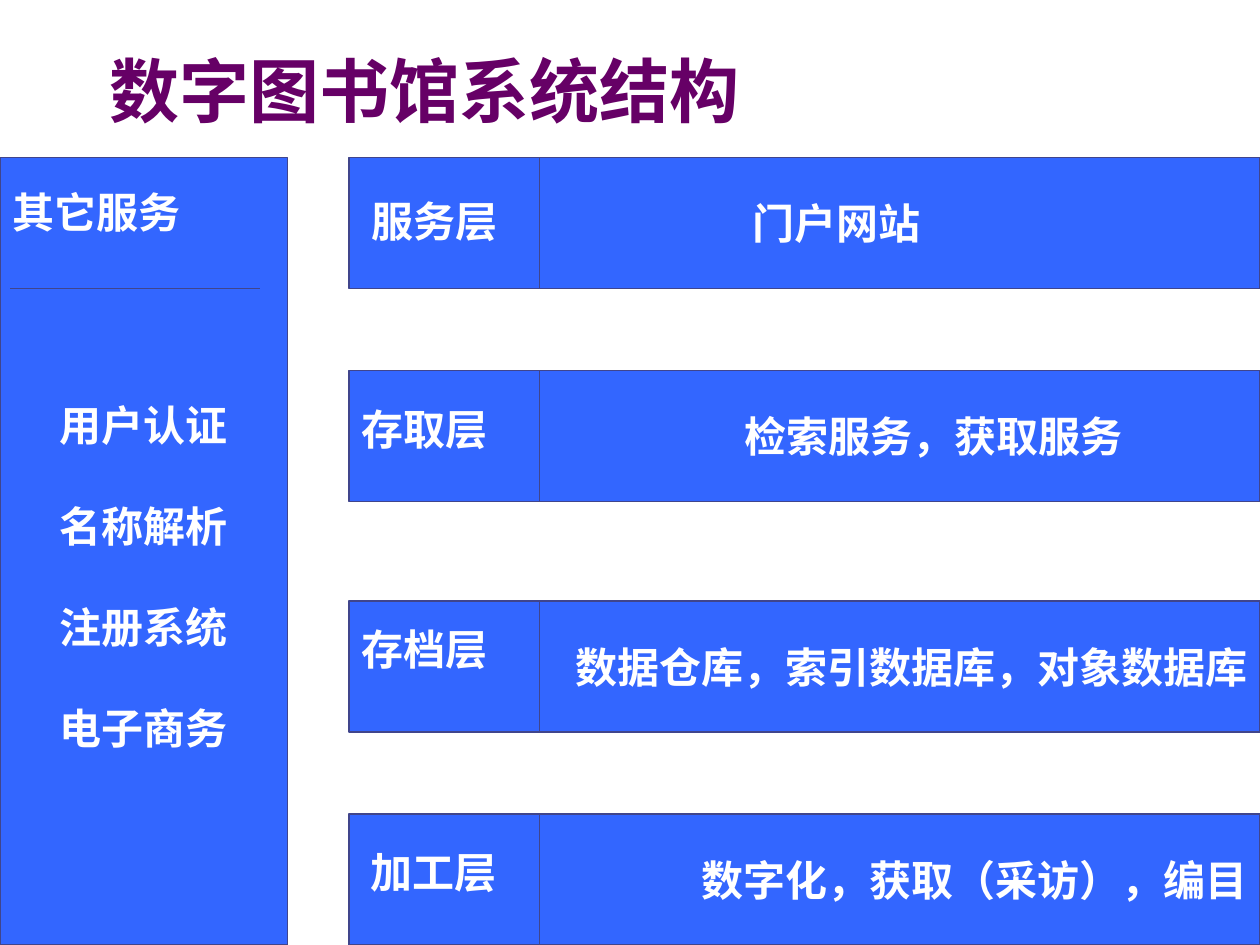
import pptx
import pptx.dml.color
import pptx.enum.shapes
import pptx.enum.text
import pptx.oxml
import pptx.util

COLUMNS, ROWS = 100, 75
WIDTH, HEIGHT = pptx.util.Inches(10), pptx.util.Inches(7.5)
BLUE, EDGE, WHITE, PURPLE = "3366FF", "40458C", "FFFFFF", "660066"
ALIGN = pptx.enum.text.PP_ALIGN
ANCHOR = pptx.enum.text.MSO_ANCHOR

SERVICES = ["用户认证", "名称解析", "注册系统", "电子商务"]
LAYERS = [
    dict(row=12.5, label="服务层", shift=(0.8, 2.5), content="门户网站",
         align=ALIGN.CENTER, left=6.1),
    dict(row=29.4, label="存取层", shift=(0, 2.1), content="检索服务，获取服务",
         align=ALIGN.RIGHT, right=10.9),
    dict(row=47.7, label="存档层", shift=(0, 1.3), content="数据仓库，索引数据库，对象数据库",
         align=ALIGN.RIGHT),
    dict(row=64.6, label="加工层", shift=(0.7, 2.1), content="数字化，获取（采访），编目",
         align=ALIGN.RIGHT),
]


def across(columns):
    """Turn grid columns into a length."""
    return int(WIDTH * columns / COLUMNS)


def down(rows):
    """Turn grid rows into a length."""
    return int(HEIGHT * rows / ROWS)


def place(box):
    """Turn a grid box into left, top, width and height."""
    left, top, width, height = box
    return across(left), down(top), across(width), down(height)


def color(value):
    """Turn a hex string into a colour."""
    return pptx.dml.color.RGBColor.from_string(value)


def write(shape, text, size=24, font="Times New Roman", fill=WHITE, align=ALIGN.LEFT,
          anchor=ANCHOR.TOP, wrap=True, left=1, right=1, top=0.5, gap=0, spacing=None):
    """Write one paragraph for each line of text, with its format."""
    frame = shape.text_frame
    frame.word_wrap = wrap
    frame.vertical_anchor = anchor
    frame.margin_left, frame.margin_right = across(left), across(right)
    frame.margin_top, frame.margin_bottom = down(top), down(0.5)
    frame.text = text
    for index, paragraph in enumerate(frame.paragraphs):
        paragraph.alignment = align
        paragraph.space_before = pptx.util.Pt(gap if index else 0)
        paragraph.line_spacing = spacing
        for run in paragraph.runs:
            run.font.size = pptx.util.Pt(size)
            run.font.name = font
            run.font.bold = True
            run.font.color.rgb = color(fill)


def add_panel(slide, box):
    """Add a blue rectangle with a thin edge."""
    shape = slide.shapes.add_shape(pptx.enum.shapes.MSO_SHAPE.RECTANGLE, *place(box))
    shape.shadow.inherit = False
    shape.fill.solid()
    shape.fill.fore_color.rgb = color(BLUE)
    shape.line.color.rgb = color(EDGE)
    shape.line.width = pptx.util.Pt(0.75)
    return shape


def add_rule(slide, start, end):
    """Add a thin straight line between two grid points."""
    line = slide.shapes.add_connector(
        pptx.enum.shapes.MSO_CONNECTOR.STRAIGHT,
        across(start[0]), down(start[1]), across(end[0]), down(end[1]))
    line.line.color.rgb = color(EDGE)
    line.line.width = pptx.util.Pt(0.75)
    line._element.spPr.append(pptx.oxml.parse_xml(
        '<a:effectLst xmlns:a="http://schemas.openxmlformats.org/drawingml/2006/main"/>'))


def add_label(slide, box, text, wrap):
    """Add a text box in a grid box."""
    write(slide.shapes.add_textbox(*place(box)), text, wrap=wrap)


def add_title(slide, box, text):
    """Move the title placeholder to its box and fill it."""
    title = slide.shapes.title
    title.left, title.top, title.width, title.height = place(box)
    write(title, text, size=40, font="Roboto", fill=PURPLE, anchor=ANCHOR.BOTTOM, spacing=0.8)


def add_sidebar(slide, box, heading, services):
    """Add the column of other services under its heading."""
    left, top, width, height = box
    panel = add_panel(slide, box)
    write(panel, "\n".join(services), align=ALIGN.CENTER, anchor=ANCHOR.MIDDLE, top=4.5, gap=28.9)
    add_rule(slide, (left + 0.8, top + 10.4), (left + 20.6, top + 10.4))
    add_label(slide, (left, top + 1.8, width, 5), heading, wrap=True)


def add_layer(slide, box, label, shift, content, **style):
    """Add one layer: its panel, divider, label and content."""
    left, top, width, height = box
    divider = left + 15.1
    write(add_panel(slide, box), content, anchor=ANCHOR.MIDDLE, **style)
    add_rule(slide, (divider, top), (divider, top + height))
    add_label(slide, (left + shift[0], top + shift[1], 12, 5), label, wrap=False)


def main():
    """Build the slide and save it."""
    presentation = pptx.Presentation()
    presentation.slide_width, presentation.slide_height = WIDTH, HEIGHT
    slide = presentation.slides.add_slide(presentation.slide_layouts.get_by_name("Title Only"))
    add_title(slide, (7.7, 4.2, 63.1, 6.7), "数字图书馆系统结构")
    add_sidebar(slide, (0, 12.5, 22.8, 62.5), "其它服务", SERVICES)
    for layer in LAYERS:
        details = {key: value for key, value in layer.items() if key != "row"}
        add_layer(slide, (27.7, layer["row"], 72.3, 10.4), **details)
    presentation.save("out.pptx")


if __name__ == "__main__":
    main()
